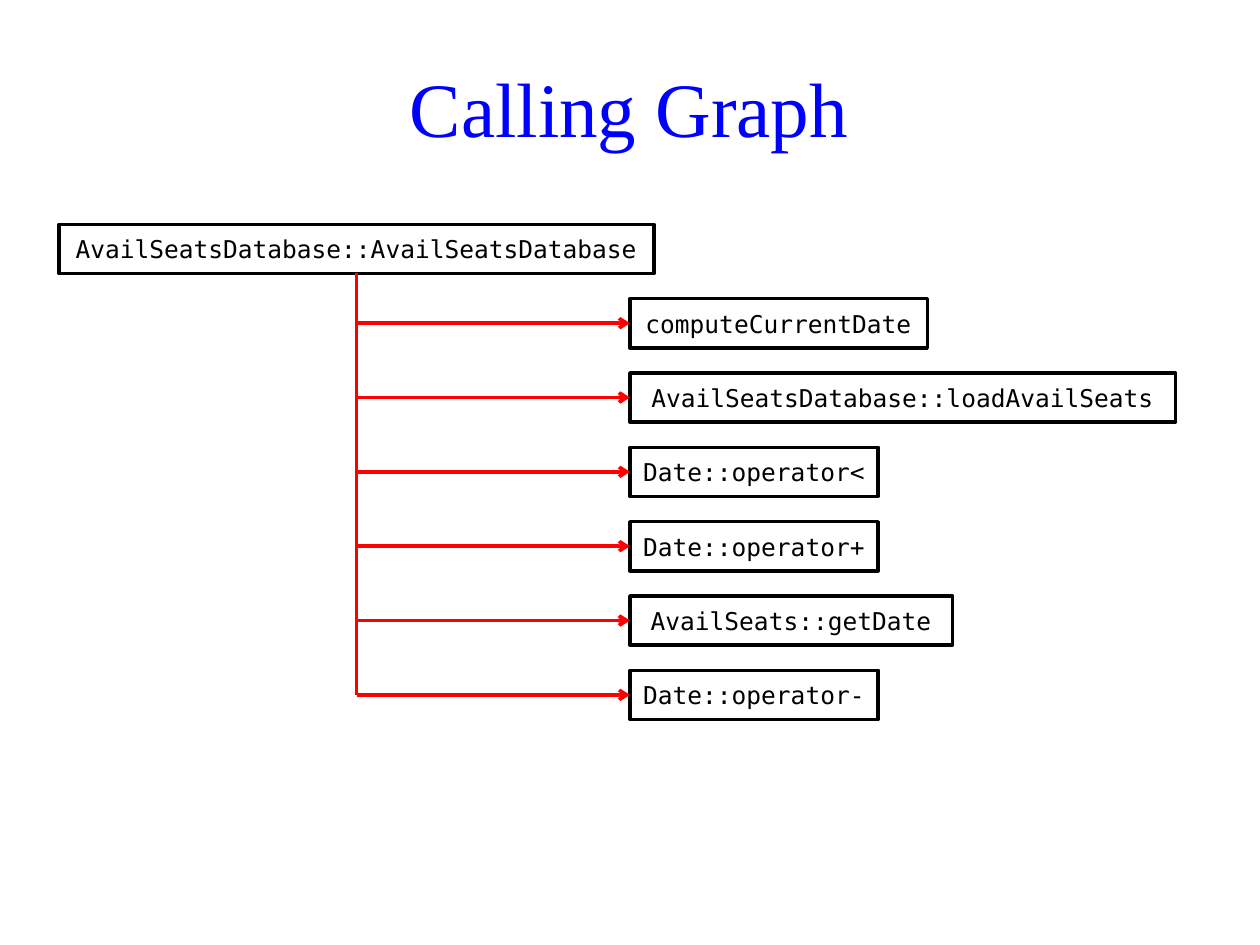
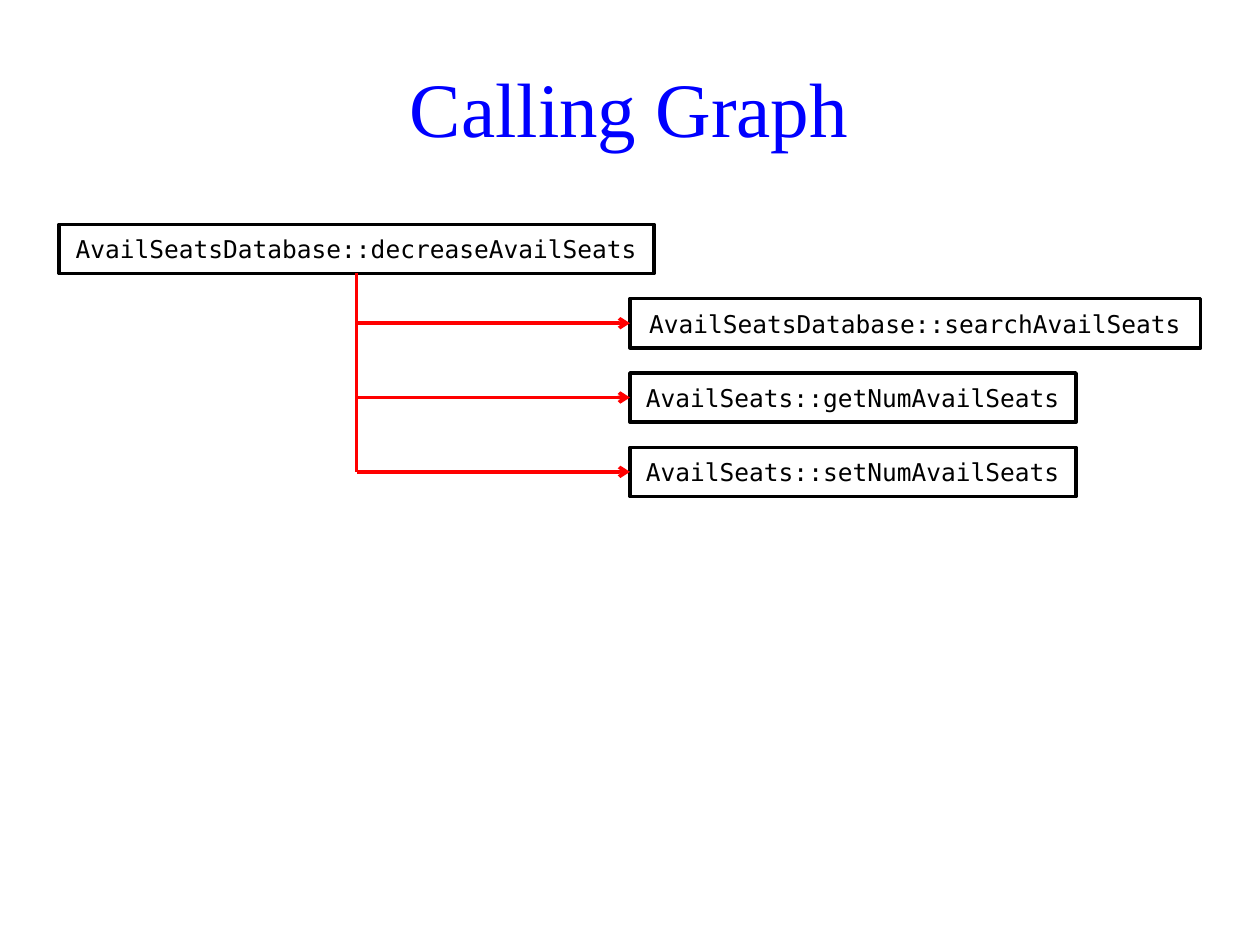
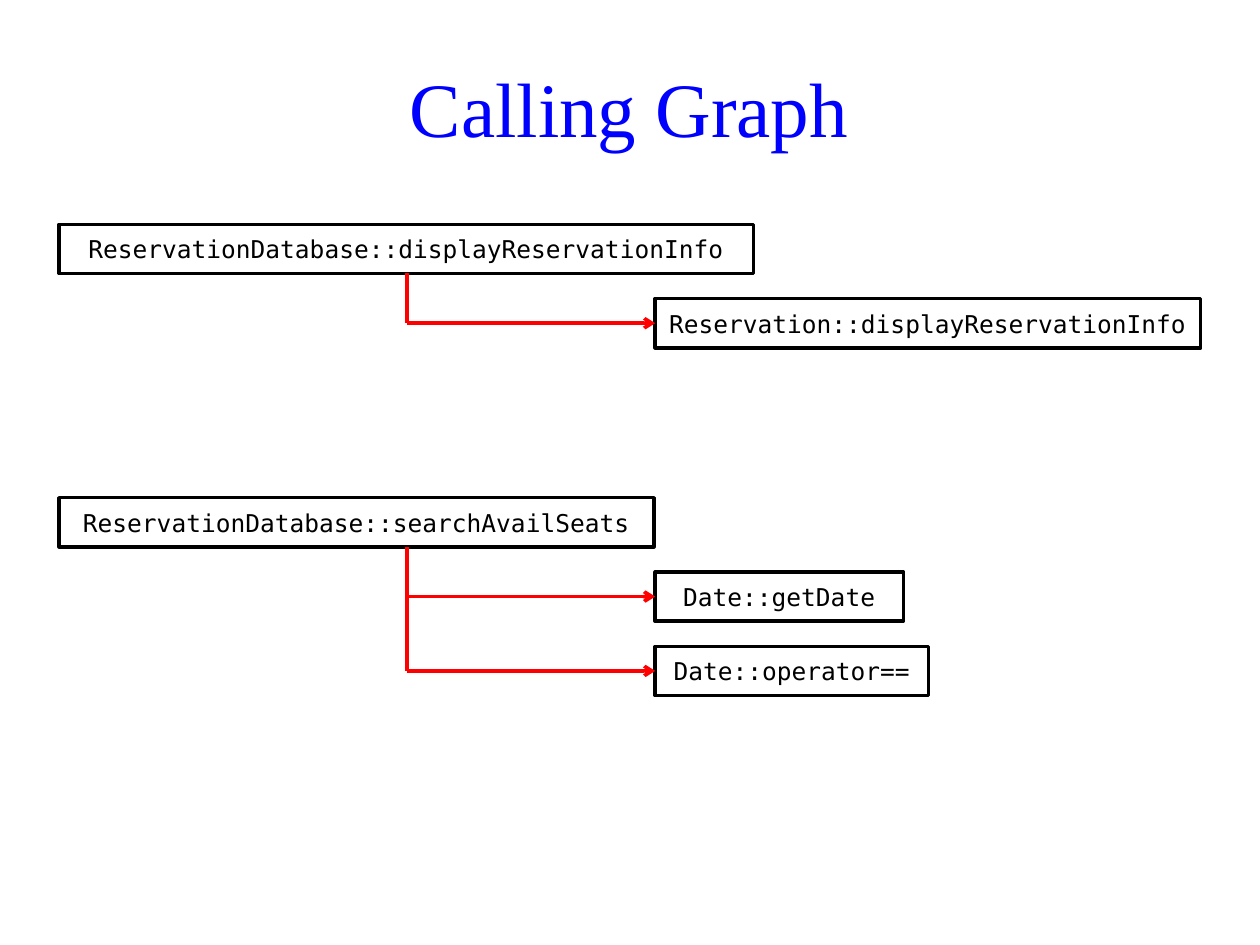
from dataclasses import dataclass

from lxml.etree import SubElement
from pptx import Presentation
from pptx.dml.color import RGBColor
from pptx.enum.shapes import MSO_CONNECTOR, MSO_SHAPE
from pptx.enum.text import MSO_ANCHOR, PP_ALIGN
from pptx.oxml.ns import qn
from pptx.shapes.autoshape import Shape
from pptx.slide import Slide
from pptx.util import Inches, Pt

COLORS = {"title": "0000FF", "box": "000000", "call": "FF0000"}
TITLE_FONT = "Times New Roman"
CODE_FONT = "DejaVu Sans Mono"
CALLER_LEFT = 0.47
BOX_HEIGHT = 0.39
ROW_PITCH = 0.59
LINE_WIDTH = 2


@dataclass(frozen=True)
class Function:
    name: str
    width: float


@dataclass(frozen=True)
class CallTree:
    caller: Function
    callees: tuple[Function, ...]
    top: float = 1.78
    trunk_x: float = 2.83
    callee_left: float = 5.0


CALLING_GRAPHS = (
    (
        CallTree(
            Function("AvailSeatsDatabase::AvailSeatsDatabase", 4.72),
            (
                Function("computeCurrentDate", 2.36),
                Function("AvailSeatsDatabase::loadAvailSeats", 4.33),
                Function("Date::operator<", 1.97),
                Function("Date::operator+", 1.97),
                Function("AvailSeats::getDate", 2.56),
                Function("Date::operator-", 1.97),
            ),
        ),
    ),
    (
        CallTree(
            Function("AvailSeatsDatabase::decreaseAvailSeats", 4.72),
            (
                Function("AvailSeatsDatabase::searchAvailSeats", 4.53),
                Function("AvailSeats::getNumAvailSeats", 3.54),
                Function("AvailSeats::setNumAvailSeats", 3.54),
            ),
        ),
    ),
    (
        CallTree(
            Function("ReservationDatabase::displayReservationInfo", 5.51),
            (Function("Reservation::displayReservationInfo", 4.33),),
            trunk_x=3.23,
            callee_left=5.2,
        ),
        CallTree(
            Function("ReservationDatabase::searchAvailSeats", 4.72),
            (
                Function("Date::getDate", 1.97),
                Function("Date::operator==", 2.17),
            ),
            top=3.95,
            trunk_x=3.23,
            callee_left=5.2,
        ),
    ),
)


def write_text(shape: Shape, text: str, *, font: str, size: float, color: str,
               inset: float = 0.1, line_spacing: float = 1.0) -> None:
    frame = shape.text_frame
    frame.word_wrap = True
    frame.vertical_anchor = MSO_ANCHOR.MIDDLE
    frame.margin_left = frame.margin_right = Inches(inset)
    frame.margin_top = frame.margin_bottom = Inches(0.05)
    paragraph = frame.paragraphs[0]
    paragraph.alignment = PP_ALIGN.CENTER
    paragraph.line_spacing = line_spacing
    run = paragraph.add_run()
    run.text = text
    run.font.name = font
    run.font.size = Pt(size)
    run.font.color.rgb = RGBColor.from_string(COLORS[color])


def add_title(slide: Slide, text: str) -> None:
    title = slide.shapes.add_textbox(Inches(0.27), Inches(0.4), Inches(9.45), Inches(0.98))
    write_text(title, text, font=TITLE_FONT, size=44, color="title", line_spacing=0.9)


def add_function(slide: Slide, function: Function, left: float, top: float) -> None:
    box = slide.shapes.add_shape(
        MSO_SHAPE.FLOWCHART_PROCESS,
        Inches(left), Inches(top), Inches(function.width), Inches(BOX_HEIGHT),
    )
    box.shadow.inherit = False
    box.fill.background()
    box.line.color.rgb = RGBColor.from_string(COLORS["box"])
    box.line.width = Pt(LINE_WIDTH)
    write_text(box, function.name, font=CODE_FONT, size=14, color="box", inset=0.08)


def add_call_line(slide: Slide, start: tuple[float, float], end: tuple[float, float],
                  arrow: bool = False) -> None:
    connector = slide.shapes.add_connector(
        MSO_CONNECTOR.STRAIGHT, *(Inches(length) for length in start + end)
    )
    connector.line.color.rgb = RGBColor.from_string(COLORS["call"])
    connector.line.width = Pt(LINE_WIDTH)
    properties = connector.element.spPr
    if arrow:
        SubElement(properties.find(qn("a:ln")), qn("a:tailEnd"), type="arrow")
    SubElement(properties, qn("a:effectLst"))


def add_call_tree(slide: Slide, tree: CallTree) -> None:
    add_function(slide, tree.caller, CALLER_LEFT, tree.top)
    last_call_y = tree.top + len(tree.callees) * ROW_PITCH + BOX_HEIGHT / 2
    add_call_line(slide, (tree.trunk_x, tree.top + BOX_HEIGHT), (tree.trunk_x, last_call_y))
    for row, callee in enumerate(tree.callees, start=1):
        callee_top = tree.top + row * ROW_PITCH
        call_y = callee_top + BOX_HEIGHT / 2
        add_function(slide, callee, tree.callee_left, callee_top)
        add_call_line(slide, (tree.trunk_x, call_y), (tree.callee_left, call_y), arrow=True)


def main() -> None:
    deck = Presentation()
    deck.slide_width = Inches(10)
    deck.slide_height = Inches(7.5)
    blank_layout = deck.slide_layouts[6]
    for trees in CALLING_GRAPHS:
        slide = deck.slides.add_slide(blank_layout)
        add_title(slide, "Calling Graph")
        for tree in trees:
            add_call_tree(slide, tree)
    deck.save("out.pptx")


main()
